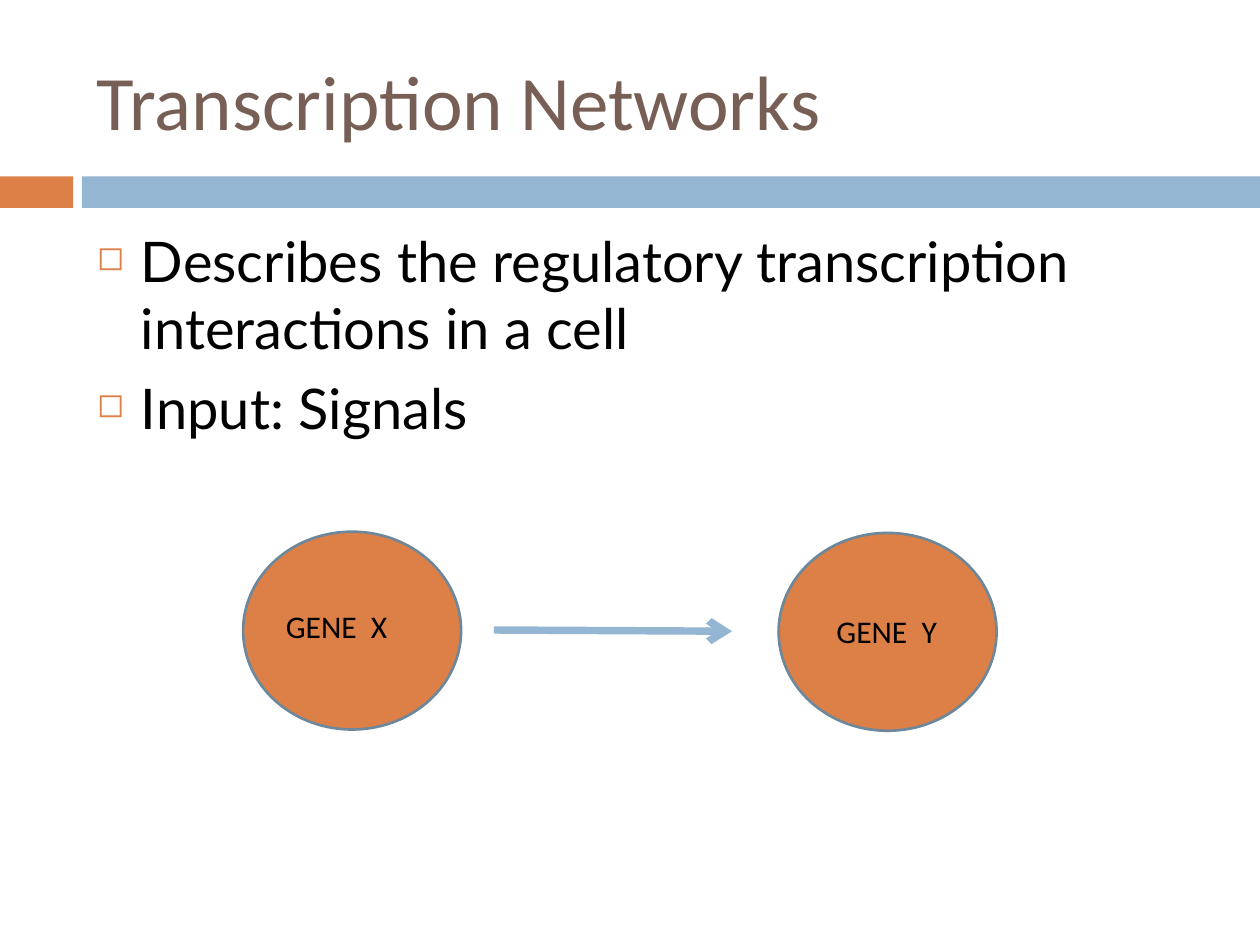
from lxml import etree
from pptx import Presentation
from pptx.dml.color import RGBColor
from pptx.enum.shapes import MSO_CONNECTOR, MSO_SHAPE
from pptx.enum.text import MSO_ANCHOR
from pptx.oxml.ns import qn
from pptx.util import Inches, Pt

RECT, OVAL = MSO_SHAPE.RECTANGLE, MSO_SHAPE.OVAL
STRAIGHT = MSO_CONNECTOR.STRAIGHT
TOP, MIDDLE = MSO_ANCHOR.TOP, MSO_ANCHOR.MIDDLE
ORANGE = RGBColor(0xDD, 0x80, 0x47)
BLUE = RGBColor(0x94, 0xB6, 0xD2)
SLATE = RGBColor(0x6D, 0x87, 0x9B)
BROWN = RGBColor(0x77, 0x5F, 0x55)
BLACK = RGBColor(0, 0, 0)


def add_shape(slide, kind, box, fill, line=None):
    """Add a filled shape, outlined when a line colour is given."""
    shape = slide.shapes.add_shape(kind, *map(Inches, box))
    shape.shadow.inherit = False
    shape.fill.solid()
    shape.fill.fore_color.rgb = fill
    if line is None:
        shape.line.fill.background()
    else:
        shape.line.color.rgb = line
        shape.line.width = Pt(1.5)


def add_text(slide, box, lines, font, size, color, anchor=TOP):
    """Add a text box with one paragraph per line and return its paragraphs."""
    frame = slide.shapes.add_textbox(*map(Inches, box)).text_frame
    frame.word_wrap = True
    frame.vertical_anchor = anchor
    frame.text = "\n".join(lines)
    for para in frame.paragraphs:
        para.font.name = font
        para.font.size = Pt(size)
        para.font.color.rgb = color
    return frame.paragraphs


def add_bullet(para):
    """Give a paragraph a hanging square bullet."""
    para.space_before = Pt(7)
    props = para._p.get_or_add_pPr()
    props.set("marL", str(Inches(0.35)))
    props.set("indent", str(-Inches(0.35)))
    color = etree.SubElement(props, qn("a:buClr"))
    etree.SubElement(color, qn("a:srgbClr"), val=str(ORANGE))
    etree.SubElement(props, qn("a:buSzPct"), val="60000")
    etree.SubElement(props, qn("a:buChar"), char="◻")


def add_header(slide, box):
    """Place the title above the two-colour band."""
    left, top, width, height = box
    add_shape(slide, RECT, (0, 1.4, 0.58, 0.25), ORANGE)
    add_shape(slide, RECT, (0.65, 1.4, 9.35, 0.25), BLUE)
    add_text(slide, (left, top, width, height), ["Transcription Networks"],
             "Calibri", 44, BROWN, MIDDLE)


def add_body(slide, box):
    """Place the bulleted statements."""
    lines = ["Describes the regulatory transcription interactions in a cell",
             "Input: Signals"]
    for para in add_text(slide, box, lines, "Lato", 32, BLACK):
        add_bullet(para)


def add_arrow(slide, start, end):
    """Draw a thick arrow between two points."""
    arrow = slide.shapes.add_connector(
        STRAIGHT, *map(Inches, start + end))
    arrow.line.color.rgb = BLUE
    arrow.line.width = Pt(4.25)
    etree.SubElement(arrow.line._get_or_add_ln(), qn("a:tailEnd"), type="arrow")
    etree.SubElement(arrow._element.spPr, qn("a:effectLst"))


def add_genes(slide, box):
    """Place gene X, gene Y and the arrow from one to the other."""
    left, top, width, height = box
    size = (1.73, 1.57)
    right = left + width - size[0]
    add_shape(slide, OVAL, (left, top, *size), ORANGE, SLATE)
    add_arrow(slide, (left + 1.99, top + 0.78), (right - 0.37, top + 0.79))
    add_shape(slide, OVAL, (right, top + height - size[1], *size), ORANGE, SLATE)
    labels = [("GENE  X", left + 0.24, top + 0.55, 1.18),
              ("GENE  Y", right + 0.36, top + 0.59, 1.14)]
    for name, x, y, w in labels:
        add_text(slide, (x, y, w, 0.4), [name], "Calibri", 18, BLACK)


def main():
    """Build and save the slide."""
    deck = Presentation()
    deck.slide_width, deck.slide_height = Inches(10), Inches(7.5)
    slide = deck.slides.add_slide(deck.slide_layouts[6])
    add_header(slide, (0.67, 0.25, 8.92, 1.08))
    add_body(slide, (0.67, 1.75, 8.92, 4.92))
    add_genes(slide, (1.93, 4.22, 5.98, 1.58))
    deck.save("out.pptx")


if __name__ == "__main__":
    main()
